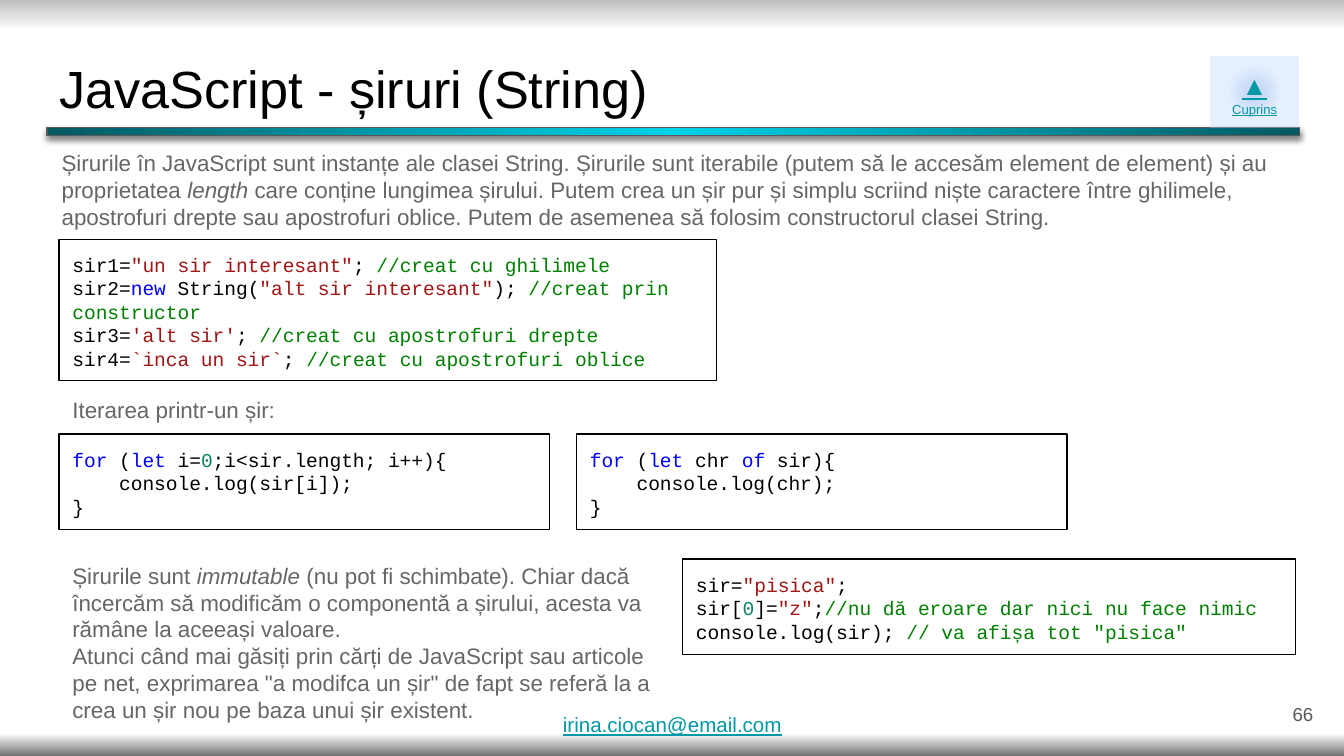
from dataclasses import dataclass
from typing import NamedTuple, Optional

import pptx
import pptx.dml.color
import pptx.enum.shapes
import pptx.enum.text
import pptx.oxml
import pptx.oxml.ns
import pptx.util
from pptx.util import Inches

RGB = pptx.dml.color.RGBColor
ALIGN = pptx.enum.text.PP_ALIGN
ANCHOR = pptx.enum.text.MSO_ANCHOR
RECTANGLE = pptx.enum.shapes.MSO_SHAPE.RECTANGLE

BLACK = RGB(0x00, 0x00, 0x00)
GREY = RGB(0x66, 0x66, 0x66)
DARK_GREY = RGB(0x59, 0x59, 0x59)
LINK = RGB(0x00, 0x97, 0xA7)
STRING = RGB(0xA3, 0x15, 0x15)
COMMENT = RGB(0x00, 0x80, 0x00)
KEYWORD = RGB(0x00, 0x00, 0xFF)
NUMBER = RGB(0x09, 0x86, 0x58)
BAR_LIGHT = RGB(0x00, 0xD2, 0xE9)
BAR_DARK = RGB(0x04, 0x59, 0x62)
TILE_PALE = RGB(0xBC, 0xD6, 0xFF)
TILE_BLUE = RGB(0x4A, 0x86, 0xE8)
EDGE_TOP = RGB(0xBF, 0xBF, 0xBF)
EDGE_BOTTOM = RGB(0x73, 0x73, 0x73)
WHITE = RGB(0xFF, 0xFF, 0xFF)

DRAWING_NS = pptx.oxml.ns.nsdecls("a")
LINEAR = '<a:lin ang="5400000" scaled="0"/>'
RADIAL = ('<a:path path="circle"><a:fillToRect l="50000" t="50000" '
          'r="50000" b="50000"/></a:path>')


class Part(NamedTuple):
    """A stretch of text; colour, italic and size override the style."""
    text: str
    colour: Optional[RGB] = None
    italic: bool = False
    size: Optional[float] = None


class Place(NamedTuple):
    left: float
    top: float
    width: float
    height: float

    def lengths(self):
        return [Inches(value) for value in self]


@dataclass(frozen=True)
class Style:
    size: float
    colour: RGB
    font: str = "Arial"
    align: ALIGN = ALIGN.LEFT
    anchor: ANCHOR = ANCHOR.TOP
    underline: bool = False
    inset: float = 0.1  # top and bottom


TITLE = Style(28, BLACK)
BODY = Style(12, GREY)
CODE = Style(10.5, BLACK, "Courier New")
PAGE = Style(10, DARK_GREY, align=ALIGN.RIGHT, anchor=ANCHOR.MIDDLE)
MENU = Style(14, LINK, align=ALIGN.CENTER, underline=True)
MAIL = Style(11, LINK, underline=True, inset=0)


def write(shape, style: Style, lines: list) -> None:
    frame = shape.text_frame
    frame_format = {
        "word_wrap": True, "auto_size": pptx.enum.text.MSO_AUTO_SIZE.NONE,
        "vertical_anchor": style.anchor,
        "margin_left": Inches(0.1), "margin_right": Inches(0.1),
        "margin_top": Inches(style.inset), "margin_bottom": Inches(style.inset),
    }
    for name, value in frame_format.items():
        setattr(frame, name, value)
    for index, line in enumerate(lines):
        paragraph = frame.add_paragraph() if index else frame.paragraphs[0]
        paragraph.alignment = style.align
        for part in line:
            run = paragraph.add_run()
            run.text = part.text
            font_format = {
                "name": style.font, "size": pptx.util.Pt(part.size or style.size),
                "italic": part.italic, "underline": style.underline,
            }
            for name, value in font_format.items():
                setattr(run.font, name, value)
            run.font.color.rgb = part.colour or style.colour


def set_gradient(fill, owner, stops: list, direction: str, alpha: int = 100) -> None:
    fill.gradient()
    marks = "".join(
        f'<a:gs pos="{position * 1000}"><a:srgbClr val="{colour}">'
        f'<a:alpha val="{alpha * 1000}"/></a:srgbClr></a:gs>'
        for position, colour in stops)
    old = next(owner.iter(pptx.oxml.ns.qn("a:gradFill")))
    old.getparent().replace(old, pptx.oxml.parse_xml(
        f'<a:gradFill {DRAWING_NS} rotWithShape="1"><a:gsLst>{marks}</a:gsLst>'
        f'{direction}</a:gradFill>'))


def add_text(slide, place: Place, style: Style, lines: list) -> None:
    write(slide.shapes.add_textbox(*place.lengths()), style, lines)


def add_rectangle(slide, place: Place, outline: Optional[RGB] = None):
    rectangle = slide.shapes.add_shape(RECTANGLE, *place.lengths())
    rectangle.shadow.inherit = False
    rectangle.fill.background()
    if outline is None:
        rectangle.line.fill.background()
    else:
        rectangle.line.color.rgb = outline
        rectangle.line.width = pptx.util.Pt(0.75)
    return rectangle


def add_code(slide, place: Place, lines: list) -> None:
    write(add_rectangle(slide, place, BLACK), CODE, lines)


def main() -> None:
    deck = pptx.Presentation()
    deck.slide_width = Inches(10)
    deck.slide_height = deck.slide_width * 9 // 16
    slide = deck.slides.add_slide(deck.slide_layouts[5])
    set_gradient(slide.background.fill, slide.element,
                 [(0, EDGE_TOP), (4, WHITE), (97, WHITE), (100, EDGE_BOTTOM)], LINEAR)

    # Title and the bar under it
    title = slide.shapes.title
    title.left, title.top, title.width, title.height = Place(0.34, 0.32, 9.32, 0.63).lengths()
    write(title, TITLE, [[Part("JavaScript - șiruri (String)")]])
    bar = add_rectangle(slide, Place(0.35, 0.95, 9.32, 0.06), DARK_GREY)
    set_gradient(bar.fill, bar.element, [(0, BAR_LIGHT), (100, BAR_DARK)], RADIAL)
    effects = next(bar.element.iter(pptx.oxml.ns.qn("a:effectLst")))
    effects.append(pptx.oxml.parse_xml(
        f'<a:outerShdw {DRAWING_NS} blurRad="{pptx.util.Pt(3.4)}" '
        f'dist="{pptx.util.Pt(1.5)}" dir="5400000" rotWithShape="0">'
        f'<a:srgbClr val="{BLACK}"><a:alpha val="50000"/></a:srgbClr></a:outerShdw>'))

    # Page number, contents tile and address
    add_text(slide, Place(9.27, 5.1, 0.6, 0.43), PAGE, [[Part("66")]])
    menu = add_rectangle(slide, Place(9.01, 0.42, 0.65, 0.53))
    set_gradient(menu.fill, menu.element,
                 [(0, TILE_PALE), (0, TILE_BLUE), (48, TILE_PALE), (100, TILE_PALE)],
                 RADIAL, alpha=37)
    write(menu, MENU, [[Part("▲")], [Part("Cuprins", size=7)]])
    add_text(slide, Place(4.09, 5.3, 1.84, 0.27), MAIL, [[Part("irina.ciocan@email.com")]])

    # Creating strings
    add_text(slide, Place(0.36, 1.01, 9.28, 0.77), BODY, [[
        Part("Șirurile în JavaScript sunt instanțe ale clasei String. Șirurile sunt iterabile "
             "(putem să le accesăm element de element) și au proprietatea "),
        Part("length", italic=True),
        Part(" care conține lungimea șirului. Putem crea un șir pur și simplu scriind niște "
             "caractere între ghilimele, apostrofuri drepte sau apostrofuri oblice. Putem de "
             "asemenea să folosim constructorul clasei String.")]])
    add_code(slide, Place(0.44, 1.78, 4.89, 1.05), [
        [Part("sir1="), Part('"un sir interesant"', STRING), Part("; "),
         Part("//creat cu ghilimele", COMMENT)],
        [Part("sir2="), Part("new", KEYWORD), Part(" String("),
         Part('"alt sir interesant"', STRING), Part("); "),
         Part("//creat prin constructor", COMMENT)],
        [Part("sir3="), Part("'alt sir'", STRING), Part("; "),
         Part("//creat cu apostrofuri drepte", COMMENT)],
        [Part("sir4="), Part("`inca un sir`", STRING), Part("; "),
         Part("//creat cu apostrofuri oblice", COMMENT)]])

    # Two loops side by side
    add_text(slide, Place(0.44, 2.85, 9.28, 0.37), BODY, [[Part("Iterarea printr-un șir:")]])
    loop_start = [Part("for", KEYWORD), Part(" ("), Part("let", KEYWORD)]
    loops = [
        ([Part(" i="), Part("0", NUMBER), Part(";i<sir.length; i++){")], "sir[i]"),
        ([Part(" chr "), Part("of", KEYWORD), Part(" sir){")], "chr"),
    ]
    for column, (condition, logged) in enumerate(loops):
        add_code(slide, Place(0.44 + column * 3.85, 3.23, 3.65, 0.71), [
            loop_start + condition, [Part(f"    console.log({logged});")], [Part("}")]])

    # Immutability
    add_text(slide, Place(0.44, 4.08, 4.56, 1.12), BODY, [
        [Part("Șirurile sunt "), Part("immutable", italic=True),
         Part(" (nu pot fi schimbate). Chiar dacă încercăm să modificăm o componentă a "
              "șirului, acesta va rămâne la aceeași valoare.")],
        [Part("Atunci când mai găsiți prin cărți de JavaScript sau articole pe net, "
              'exprimarea "a modifca un șir" de fapt se referă la a crea un șir nou pe '
              "baza unui șir existent.")]])
    add_code(slide, Place(5.08, 4.16, 4.56, 0.71), [
        [Part("sir="), Part('"pisica"', STRING), Part(";")],
        [Part("sir["), Part("0", NUMBER), Part("]="), Part('"z"', STRING), Part(";"),
         Part("//nu dă eroare dar nici nu face nimic", COMMENT)],
        [Part("console.log(sir); "), Part('// va afișa tot "pisica"', COMMENT)]])

    deck.save("out.pptx")


if __name__ == "__main__":
    main()
